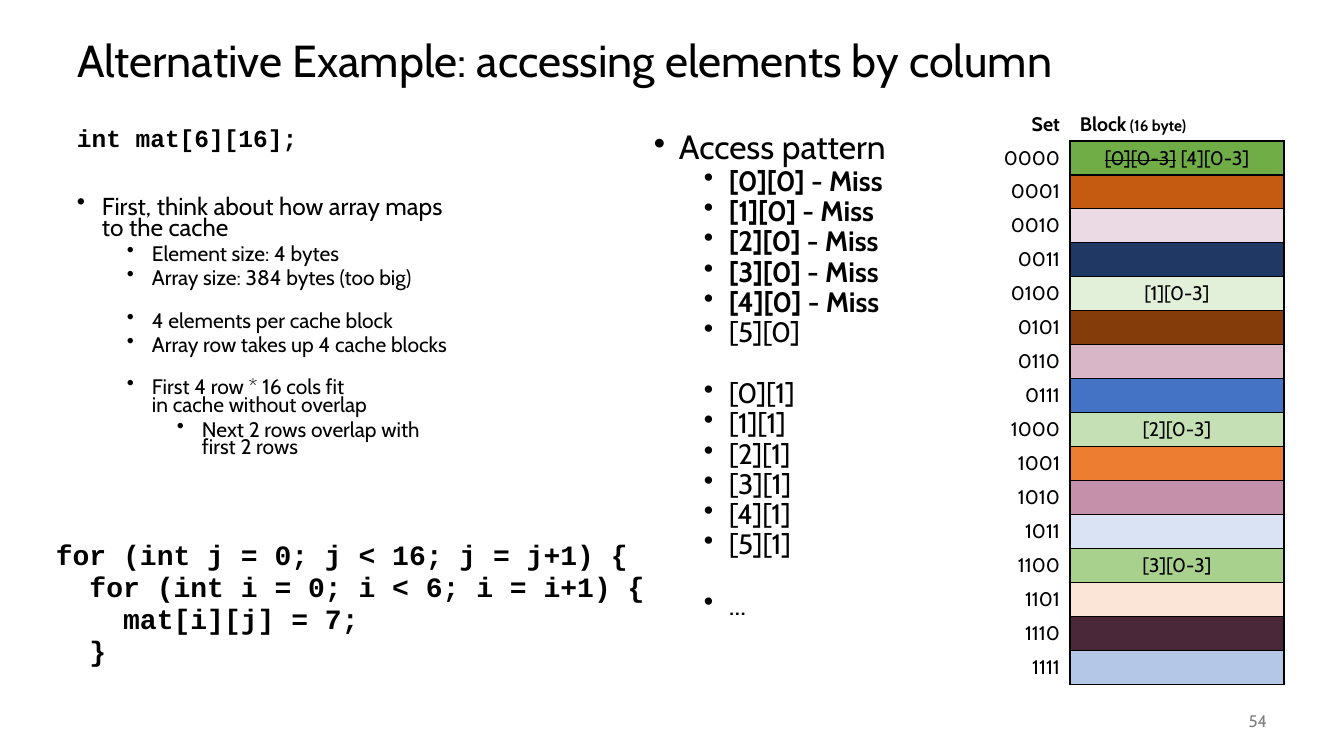
"""Build a slide on cache misses when a matrix is accessed by column."""
import dataclasses

import pptx
import pptx.dml.color
import pptx.enum.text
import pptx.oxml
import pptx.oxml.ns
import pptx.util

PX = 914400 / 100.8
ALIGN = pptx.enum.text.PP_ALIGN
MIDDLE = pptx.enum.text.MSO_ANCHOR.MIDDLE


@dataclasses.dataclass(frozen=True)
class Theme:
    sans: str = "Cabin"
    mono: str = "Courier New"
    ink: str = "000000"
    muted: str = "808080"
    paper: str = "FFFFFF"
    title: float = 32
    heading: float = 24
    large: float = 20
    body: float = 17.5
    detail: float = 15
    table: float = 14
    number: float = 12
    note: float = 11
    blocks: tuple = (
        "70AD47", "C55A11", "EBDAE3", "203864", "E2F0D9", "843C0B", "D8B5C7", "4472C4",
        "C5E0B4", "ED7D31", "C490AA", "DAE3F3", "A9D18E", "FBE5D6", "4A2839", "B4C7E7",
    )


theme = Theme()


def write(para, text, *, size, font=theme.sans, color=theme.ink, bold=False, strike=False,
          align=None, spacing=None, before=None, level=None):
    """Add formatted text to a paragraph, bulleted when a level is given."""
    if level is not None:
        para.level = level
        props = para._p.get_or_add_pPr()
        props.set("marL", str(round((25 + 50 * level) * PX)))
        props.set("indent", str(round(-25 * PX)))
        bullet = pptx.oxml.parse_xml(f'<a:buChar {pptx.oxml.ns.nsdecls("a")} char="•"/>')
        props.append(bullet)
    if align is not None:
        para.alignment = align
    if spacing is not None:
        para.line_spacing = spacing
    if before is not None:
        para.space_before = pptx.util.Pt(before)
    for index, line in enumerate(text.split("\n")):
        if index:
            para.add_line_break()
        span = para.add_run()
        span.text = line
        span.font.size = pptx.util.Pt(size)
        span.font.name = font
        span.font.bold = bold
        span.font.color.rgb = pptx.dml.color.RGBColor.from_string(color)
        if strike:
            span._r.get_or_add_rPr().set("strike", "sngStrike")


def fill_cell(cell, color, sides):
    """Fill a table cell and draw black borders on the given sides."""
    cell.margin_top = cell.margin_bottom = 0
    cell.margin_left = cell.margin_right = round(10 * PX)
    cell.vertical_anchor = MIDDLE
    for side in sides:
        cell._tc.get_or_add_tcPr().append(pptx.oxml.parse_xml(
            f'<a:ln{side} {pptx.oxml.ns.nsdecls("a")} w="12700"><a:solidFill>'
            f'<a:srgbClr val="{theme.ink}"/></a:solidFill></a:ln{side}>'))
    cell.fill.solid()
    cell.fill.fore_color.rgb = pptx.dml.color.RGBColor.from_string(color)


deck = pptx.Presentation()
deck.slide_width = round(1344 * PX)
deck.slide_height = round(756 * PX)
page = deck.slides.add_slide(deck.slide_layouts[5])

title = page.shapes.title
title.left, title.top, title.width, title.height = (round(v * PX) for v in (67, 25, 1210, 76))
title.text_frame.vertical_anchor = MIDDLE
title.text_frame.word_wrap = True
write(title.text_frame.paragraphs[0], "Alternative Example: accessing elements by column",
      size=theme.title, align=ALIGN.LEFT, spacing=0.9)

code = [
    "for (int j = 0; j < 16; j = j+1) {",
    "  for (int i = 0; i < 6; i = i+1) {",
    "    mat[i][j] = 7;",
    "  }",
]
code_lines = [
    (line, dict(size=theme.large, font=theme.mono, bold=True, spacing=0.9,
                before=1.3 if index else 0))
    for index, line in enumerate(code)
]

detail = dict(size=theme.detail, spacing=0.7, level=1, before=5)
group = {**detail, "before": 17.5}
mapping_lines = [
    ("int mat[6][16];", dict(size=theme.body, font=theme.mono, bold=True, spacing=0.7, before=0)),
    ("First, think about how array maps to the cache",
     dict(size=theme.body, spacing=0.7, level=0, before=34)),
    ("Element size: 4 bytes", detail),
    ("Array size: 384 bytes (too big)", detail),
    ("4 elements per cache block", group),
    ("Array row takes up 4 cache blocks", detail),
    ("First 4 row * 16 cols fit\nin cache without overlap", group),
    ("Next 2 rows overlap with first 2 rows", {**detail, "level": 2}),
]

access = dict(size=theme.large, spacing=0.9, level=1)
access_lines = [("Access pattern", dict(size=theme.heading, spacing=0.9, level=0, before=0))]
for column in range(2):
    for row in range(6):
        missed = column == 0 and row < 5
        access_lines.append((f"[{row}][{column}]" + (" - Miss" if missed else ""),
                             {**access, "bold": missed,
                              "before": 22 if column and not row else 0}))
access_lines.append(("...", {**access, "before": 22}))

number_lines = [("54", dict(size=theme.number, color=theme.muted, align=ALIGN.RIGHT))]

held = {4: "[1][0-3]", 8: "[2][0-3]", 12: "[3][0-3]"}
row_count = len(theme.blocks) + 1
frame = page.shapes.add_table(row_count, 2, *(round(v * PX) for v in (980, 107, 304, 34 * row_count)))
cache = frame.table
cache.first_row = cache.horz_banding = False
cache.columns[0].width = round(90 * PX)
cache.columns[1].width = round(214 * PX)
for row in cache.rows:
    row.height = round(34 * PX)

fill_cell(cache.cell(0, 0), theme.paper, "")
fill_cell(cache.cell(0, 1), theme.paper, "B")
write(cache.cell(0, 0).text_frame.paragraphs[0], "Set", size=theme.table, bold=True, align=ALIGN.RIGHT)
heading = cache.cell(0, 1).text_frame.paragraphs[0]
write(heading, "Block", size=theme.table, bold=True)
write(heading, " (16 byte)", size=theme.note, bold=True)

for index, color in enumerate(theme.blocks):
    set_cell, block_cell = cache.cell(index + 1, 0), cache.cell(index + 1, 1)
    fill_cell(set_cell, theme.paper, "R")
    fill_cell(block_cell, color, "LRTB")
    write(set_cell.text_frame.paragraphs[0], f"{index:04b}", size=theme.table, align=ALIGN.RIGHT)
    para = block_cell.text_frame.paragraphs[0]
    if index == 0:
        write(para, "[0][0-3]", size=theme.table, strike=True, align=ALIGN.CENTER)
        write(para, " [4][0-3]", size=theme.table)
    elif index in held:
        write(para, held[index], size=theme.table, align=ALIGN.CENTER)

for place, lines in (
    ((46, 536, 763, 141), code_lines),
    ((67, 126, 396, 360), mapping_lines),
    ((644, 126, 633, 554), access_lines),
    ((1176, 701, 101, 40), number_lines),
):
    box = page.shapes.add_textbox(*(round(v * PX) for v in place))
    box.text_frame.word_wrap = True
    if lines is number_lines:
        box.text_frame.vertical_anchor = MIDDLE
    for index, (text, style) in enumerate(lines):
        para = box.text_frame.add_paragraph() if index else box.text_frame.paragraphs[0]
        write(para, text, **style)

deck.save("out.pptx")
